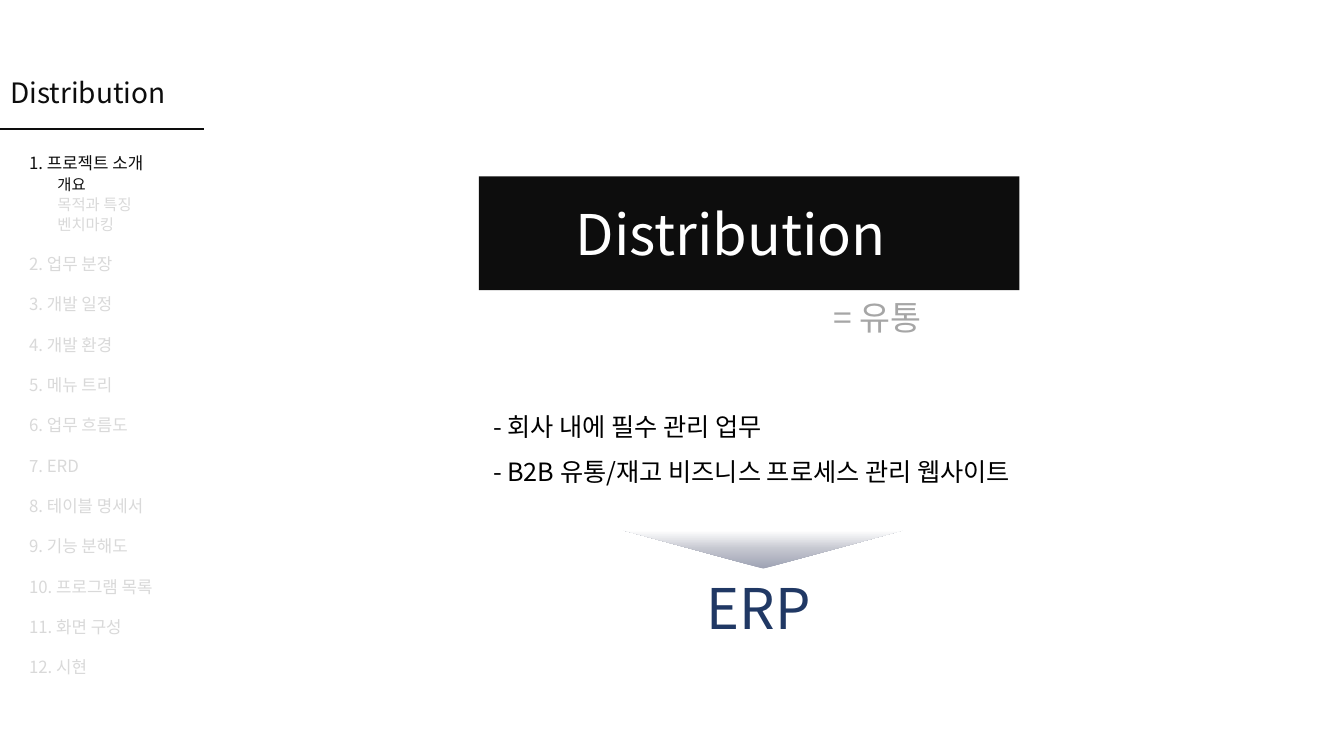
from copy import deepcopy

from pptx import Presentation
from pptx.dml.color import RGBColor
from pptx.enum.shapes import MSO_CONNECTOR, MSO_SHAPE
from pptx.enum.text import MSO_ANCHOR, MSO_AUTO_SIZE, PP_ALIGN
from pptx.oxml.ns import qn
from pptx.util import Inches, Pt

RECTANGLE, TRIANGLE = MSO_SHAPE.RECTANGLE, MSO_SHAPE.ISOSCELES_TRIANGLE
STRAIGHT = MSO_CONNECTOR.STRAIGHT
TOP, LEFT, NO_FIT = MSO_ANCHOR.TOP, PP_ALIGN.LEFT, MSO_AUTO_SIZE.NONE

FONT = "Noto Sans CJK KR"
INK, PALE, GREY, NAVY = "0D0D0D", "D9D9D9", "A6A6A6", "203864"
ARROW_STOPS = [(0, "9DA1B3"), (0.5, "C4C6CF"), (1, "FFFFFF")]

NAME = "Distribution"
FEATURES = ["- 회사 내에 필수 관리 업무",
            "- B2B 유통/재고 비즈니스 프로세스 관리 웹사이트"]
SECTIONS = ["프로젝트 소개", "업무 분장", "개발 일정", "개발 환경", "메뉴 트리",
            "업무 흐름도", "ERD", "테이블 명세서", "기능 분해도", "프로그램 목록",
            "화면 구성", "시현"]
TOPICS = ["개요", "목적과 특징", "벤치마킹"]
CURRENT = (SECTIONS[0], TOPICS[0])


def rgb(value):
    return RGBColor.from_string(value)


def place(shape, left, top, width, height):
    shape.left, shape.top = Inches(left), Inches(top)
    shape.width, shape.height = Inches(width), Inches(height)


def style(p, size, color, spacing=1.0, indent=0):
    p.alignment, p.line_spacing = LEFT, spacing
    p.space_before = p.space_after = Pt(0)
    pPr = p._p.get_or_add_pPr()
    pPr.set("marL", str(Inches(indent)))
    pPr.set("indent", "0")
    pPr.append(pPr.makeelement(qn("a:buNone"), {}))
    for r in p.runs:
        r.font.size, r.font.name = Pt(size), FONT
        r.font.color.rgb = rgb(color)
        rPr = r._r.get_or_add_rPr()
        rPr.append(rPr.makeelement(qn("a:ea"), {"typeface": FONT}))


def write(shape, lines, size, color, spacing=1.0):
    tf = shape.text_frame
    tf.text = "\n".join(lines)
    tf.word_wrap, tf.auto_size, tf.vertical_anchor = True, NO_FIT, TOP
    for p in tf.paragraphs:
        style(p, size, color, spacing)


def add_text(s, box, text, size, color):
    shape = s.shapes.add_textbox(*map(Inches, box))
    write(shape, [text], size, color)


def add_menu(s, box):
    rows = []
    for number, section in enumerate(SECTIONS, 1):
        rows.append((section, f"{number}. {section}", 12, 1 if number == 1 else 2, 0))
        if number == 1:
            rows += [(topic, topic, 11, 1.09, 0.28) for topic in TOPICS]
    tf = s.shapes.add_textbox(*map(Inches, box)).text_frame
    tf.text = "\n".join(row[1] for row in rows)
    tf.word_wrap = True
    for p, (name, _, size, spacing, indent) in zip(tf.paragraphs, rows):
        style(p, size, INK if name in CURRENT else PALE, spacing, indent)


def add_shape(s, kind, box):
    shape = s.shapes.add_shape(kind, *map(Inches, box))
    shape.shadow.inherit = False
    shape.line.fill.background()
    return shape


def add_arrow(s, box):
    arrow = add_shape(s, TRIANGLE, box)
    arrow.rotation = 180
    fill = arrow.fill
    fill.gradient()
    fill.gradient_angle = 270
    first = arrow._element.spPr.find(".//" + qn("a:gs"))
    first.addnext(deepcopy(first))
    for stop, (position, color) in zip(fill.gradient_stops, ARROW_STOPS):
        stop.position, stop.color.rgb = position, rgb(color)


def add_rule(s, left, right, y):
    rule = s.shapes.add_connector(STRAIGHT, Inches(left), Inches(y),
                                  Inches(right), Inches(y))
    rule.line.color.rgb, rule.line.width = rgb(INK), Pt(1.5)
    spPr = rule._element.spPr
    spPr.append(spPr.makeelement(qn("a:effectLst"), {}))


def main():
    prs = Presentation()
    prs.slide_width, prs.slide_height = Inches(13.33), Inches(7.5)
    s = prs.slides.add_slide(prs.slide_layouts[1])
    title, body = s.placeholders

    place(title, 0, 0.7, 1.92, 0.44)
    write(title, [NAME], 20, INK)
    add_rule(s, 0, 2.02, 1.28)
    add_menu(s, (0.19, 1.47, 1.45, 5.35))

    banner = add_shape(s, RECTANGLE, (4.75, 1.75, 5.36, 1.13))
    banner.fill.solid()
    banner.fill.fore_color.rgb = rgb(INK)
    add_text(s, (5.61, 1.93, 3.65, 0.77), NAME, 40, "FFFFFF")
    add_text(s, (8.17, 2.9, 1.09, 0.5), "= 유통", 24, GREY)
    place(body, 4.79, 3.88, 5.65, 1.01)
    write(body, FEATURES, 18, "000000", 1.5)
    add_arrow(s, (6.18, 5.26, 2.78, 0.38))
    add_text(s, (6.91, 5.64, 1.34, 0.77), "ERP", 40, NAVY)

    prs.save("out.pptx")


if __name__ == "__main__":
    main()
